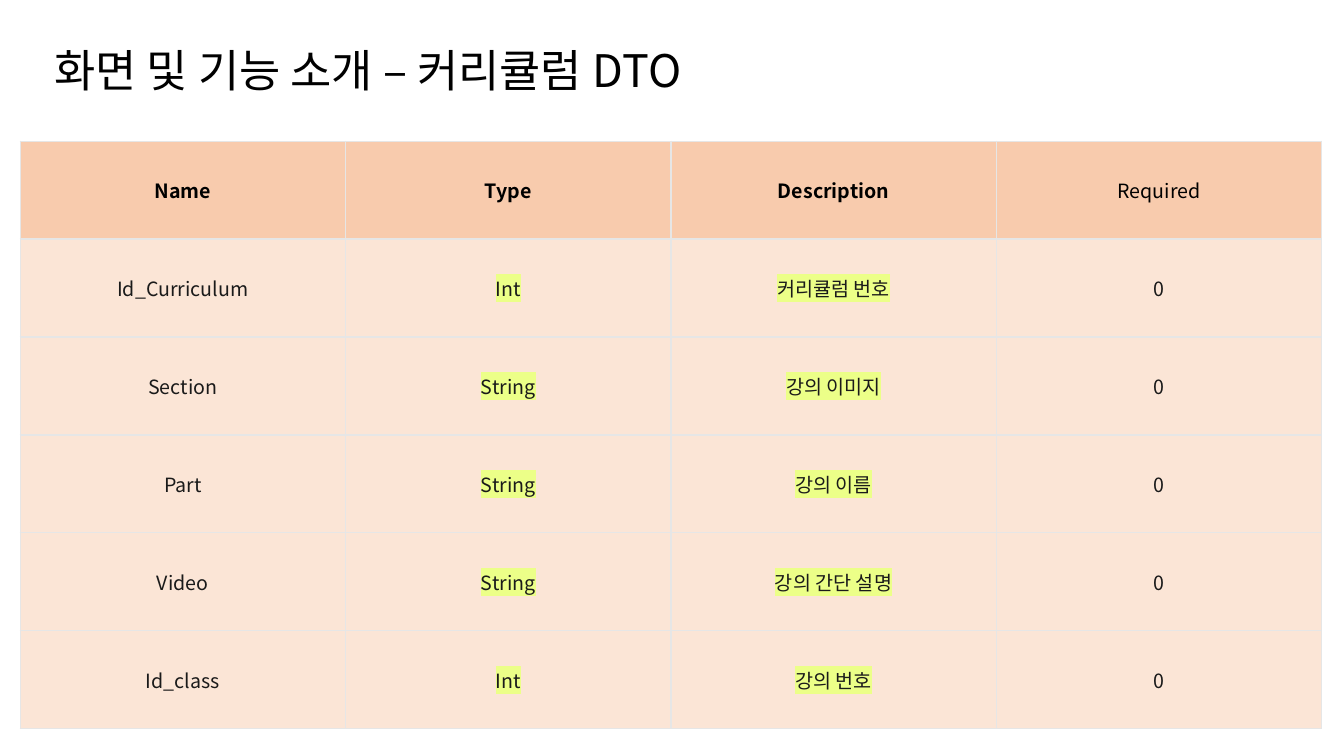
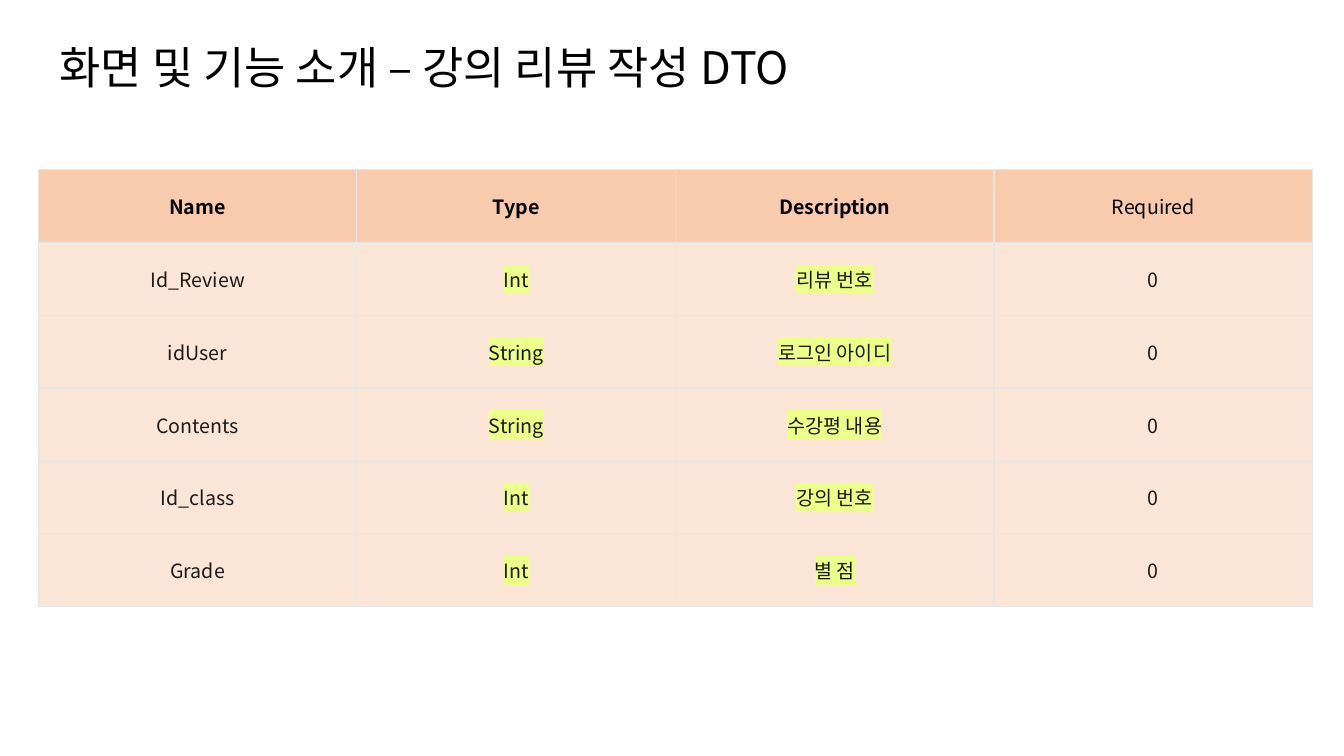
from dataclasses import dataclass

from lxml import etree
from pptx import Presentation
from pptx.dml.color import RGBColor
from pptx.enum.text import MSO_ANCHOR, MSO_AUTO_SIZE, PP_ALIGN
from pptx.oxml.ns import qn
from pptx.util import Inches, Pt

MIDDLE = MSO_ANCHOR.MIDDLE
NO_AUTOFIT = MSO_AUTO_SIZE.NONE
LEFT, CENTER = PP_ALIGN.LEFT, PP_ALIGN.CENTER

SLIDE_WIDTH, SLIDE_HEIGHT = 13.33, 7.5
TITLE_ONLY = 5
FONT = "Noto Sans CJK KR"
TITLE_SIZE, CELL_SIZE = 32, 14
BORDER_POINTS = 1
BORDER_SIDES = ("a:lnL", "a:lnR", "a:lnT", "a:lnB")
HEADERS = ("Name", "Type", "Description", "Required")
REQUIRED = "0"
BOLD_HEADERS = HEADERS[:3]
HIGHLIGHTED_COLUMNS = (1, 2)
COLORS = {
    "background": "FFFFFF",
    "heading": "000000",
    "body": "1A1A1A",
    "header_fill": "F8CBAD",
    "body_fill": "FBE5D6",
    "border": "E6E6E6",
    "highlight": "ECFF88",
}


@dataclass(frozen=True)
class Area:
    left: float
    top: float
    width: float
    height: float


@dataclass(frozen=True)
class Field:
    name: str
    type: str
    description: str


@dataclass(frozen=True)
class DtoPage:
    subject: str
    title_area: Area
    table_area: Area
    fields: tuple[Field, ...]


PAGES = (
    DtoPage(
        "커리큘럼",
        Area(0.44, 0.28, 12.67, 0.88),
        Area(0.2, 1.4, 12.91, 5.83),
        (
            Field("Id_Curriculum", "Int", "커리큘럼 번호"),
            Field("Section", "String", "강의 이미지"),
            Field("Part", "String", "강의 이름"),
            Field("Video", "String", "강의 간단 설명"),
            Field("Id_class", "Int", "강의 번호"),
        ),
    ),
    DtoPage(
        "강의 리뷰 작성",
        Area(0.49, 0.34, 12.22, 0.7),
        Area(0.38, 1.68, 12.64, 4.34),
        (
            Field("Id_Review", "Int", "리뷰 번호"),
            Field("idUser", "String", "로그인 아이디"),
            Field("Contents", "String", "수강평 내용"),
            Field("Id_class", "Int", "강의 번호"),
            Field("Grade", "Int", "별 점"),
        ),
    ),
)


def color(name: str) -> RGBColor:
    return RGBColor.from_string(COLORS[name])


def add_run(para, text: str, size: int, ink: str, bold: bool = False,
            highlighted: bool = False) -> None:
    span = para.add_run()
    span.text = text
    span.font.size = Pt(size)
    span.font.bold = bold
    span.font.color.rgb = color(ink)
    properties = span.font._element
    if highlighted:
        highlight = etree.SubElement(properties, qn("a:highlight"))
        etree.SubElement(highlight, qn("a:srgbClr"), val=COLORS["highlight"])
    span.font.name = FONT
    etree.SubElement(properties, qn("a:ea"), typeface=FONT)


def add_title(page, text: str, area: Area) -> None:
    title = page.shapes.title
    title.left, title.top = Inches(area.left), Inches(area.top)
    title.width, title.height = Inches(area.width), Inches(area.height)
    frame = title.text_frame
    frame.word_wrap = True
    frame.auto_size = NO_AUTOFIT
    frame.vertical_anchor = MIDDLE
    para = frame.paragraphs[0]
    para.alignment = LEFT
    para.line_spacing = 0.9
    add_run(para, text, TITLE_SIZE, "heading")


def add_borders(cell) -> None:
    properties = cell._tc.get_or_add_tcPr()
    for side in BORDER_SIDES:
        line = etree.SubElement(properties, qn(side), w=str(Pt(BORDER_POINTS)))
        fill = etree.SubElement(line, qn("a:solidFill"))
        etree.SubElement(fill, qn("a:srgbClr"), val=COLORS["border"])


def fill_cell(cell, text: str, is_header: bool, column: int) -> None:
    add_borders(cell)
    cell.fill.solid()
    cell.fill.fore_color.rgb = color("header_fill" if is_header else "body_fill")
    cell.vertical_anchor = MIDDLE
    para = cell.text_frame.paragraphs[0]
    para.alignment = CENTER
    add_run(
        para, text, CELL_SIZE, "heading" if is_header else "body",
        bold=is_header and text in BOLD_HEADERS,
        highlighted=not is_header and column in HIGHLIGHTED_COLUMNS,
    )


def add_field_table(page, fields: tuple[Field, ...], area: Area) -> None:
    rows = [HEADERS] + [
        (field.name, field.type, field.description, REQUIRED) for field in fields
    ]
    table = page.shapes.add_table(
        len(rows), len(HEADERS), Inches(area.left), Inches(area.top),
        Inches(area.width), Inches(area.height),
    ).table
    table.horz_banding = False
    for row_index, texts in enumerate(rows):
        for column, text in enumerate(texts):
            fill_cell(table.cell(row_index, column), text, row_index == 0, column)


def main() -> None:
    deck = Presentation()
    deck.slide_width, deck.slide_height = Inches(SLIDE_WIDTH), Inches(SLIDE_HEIGHT)
    background = deck.slide_master.background.fill
    background.solid()
    background.fore_color.rgb = color("background")
    for content in PAGES:
        page = deck.slides.add_slide(deck.slide_layouts[TITLE_ONLY])
        add_title(page, f"화면 및 기능 소개 – {content.subject} DTO", content.title_area)
        add_field_table(page, content.fields, content.table_area)
    deck.save("out.pptx")


if __name__ == "__main__":
    main()
